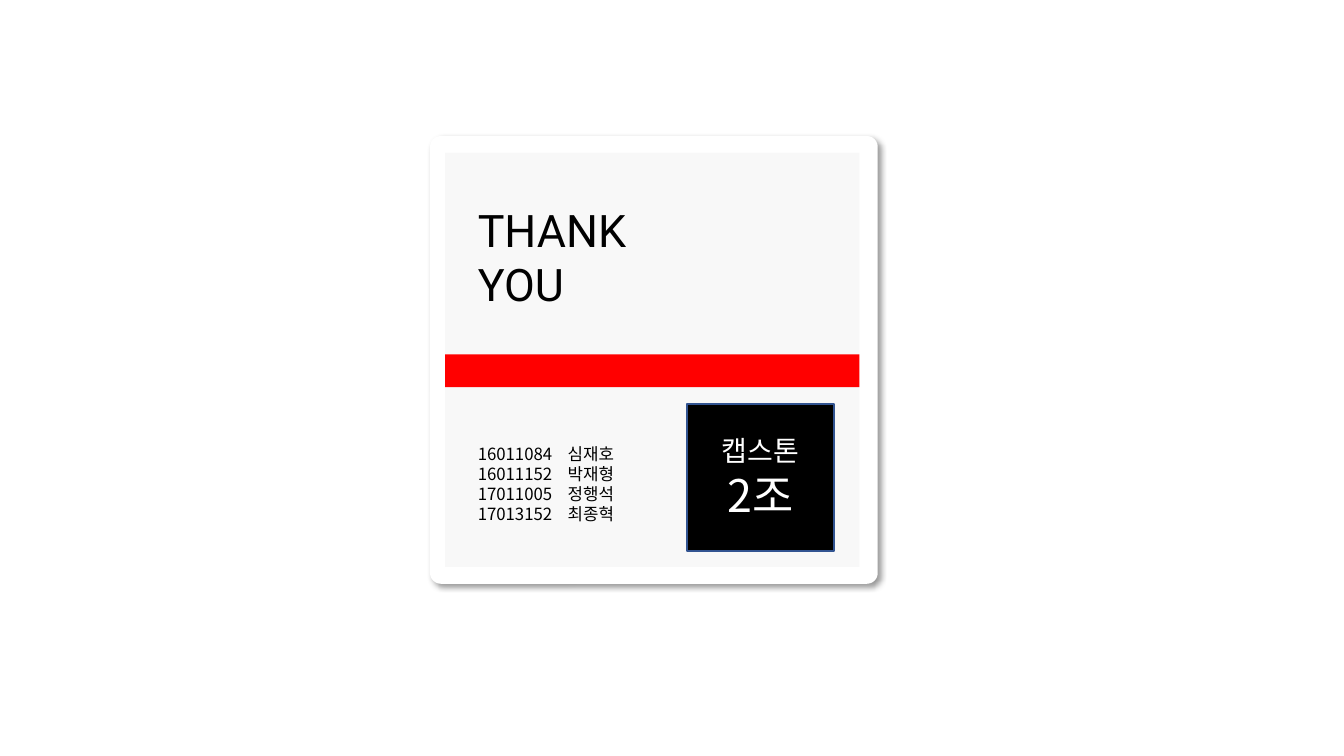
from dataclasses import dataclass

from lxml.etree import SubElement
from pptx import Presentation
from pptx.dml.color import RGBColor
from pptx.enum.shapes import MSO_AUTO_SHAPE_TYPE as Preset
from pptx.enum.text import MSO_ANCHOR as Anchor, MSO_AUTO_SIZE as AutoSize, PP_ALIGN as Align
from pptx.oxml import parse_xml
from pptx.oxml.ns import nsdecls, qn
from pptx.util import Emu, Pt

COLUMNS, ROWS = 160, 90
CELL = 76200  # a twelfth of an inch
COLORS = {"white": "FFFFFF", "panel": "F3F3F3", "red": "FF0000",
          "black": "000000", "navy": "325491"}
LATIN, KOREAN = "Roboto", "Noto Sans CJK KR"
NAME_TAB = 10.7  # columns from the text edge to the names


@dataclass(frozen=True)
class Area:
    column: float
    row: float
    width: float
    height: float

    def emu(self) -> list[Emu]:
        return [Emu(round(cells * CELL))
                for cells in (self.column, self.row, self.width, self.height)]


@dataclass(frozen=True)
class Block:
    area: Area
    color: str
    preset: Preset = Preset.RECTANGLE
    outline: str | None = None
    opacity: int = 100


@dataclass(frozen=True)
class Line:
    text: str
    size: int
    font: str = KOREAN
    color: str = "black"
    align: Align = Align.LEFT


CARD = Block(Area(51.2, 16.2, 53.3, 53.3), "white", Preset.ROUNDED_RECTANGLE)
PANEL = Block(Area(53, 18.2, 49.3, 49.3), "panel", opacity=58)
STRIPE = Block(Area(53, 42.2, 49.3, 3.9), "red")
BADGE = Block(Area(81.8, 48.1, 17.5, 17.5), "black", outline="navy")
THANKS_AREA = Area(55.7, 23.6, 32.4, 14.2)
MEMBERS_AREA = Area(55.7, 52.2, 22.8, 10.9)

THANKS = [Line(word, 32, LATIN) for word in ("THANK", "YOU")]
MEMBERS = [Line(f"{number}\t{name}", 12) for number, name in (
    ("16011084", "심재호"), ("16011152", "박재형"),
    ("17011005", "정행석"), ("17013152", "최종혁"))]
TEAM = [Line(text, size, color="white", align=Align.CENTER)
        for text, size in (("캡스톤", 20), ("2조", 32))]


def rgb(name: str) -> RGBColor:
    return RGBColor.from_string(COLORS[name])


def draw_block(page, block: Block):
    shape = page.shapes.add_shape(block.preset, *block.area.emu())
    shape.shadow.inherit = False
    shape.fill.solid()
    shape.fill.fore_color.rgb = rgb(block.color)
    if block.opacity < 100:
        color = shape.fill._xPr.find(f"{qn('a:solidFill')}/{qn('a:srgbClr')}")
        SubElement(color, qn("a:alpha"), val=str(block.opacity * 1000))
    if block.outline:
        shape.line.color.rgb = rgb(block.outline)
        shape.line.width = Pt(1)
    else:
        shape.line.fill.background()
    return shape


def add_shadow(shape) -> None:
    effects = shape._element.spPr.find(qn("a:effectLst"))
    effects.append(parse_xml(
        f'<a:outerShdw {nsdecls("a")} blurRad="{Pt(4)}" dist="{Pt(3)}" dir="2700000" '
        f'algn="tl" rotWithShape="0"><a:srgbClr val="{COLORS["black"]}">'
        '<a:alpha val="40000"/></a:srgbClr></a:outerShdw>'))


def write_lines(frame, lines: list[Line]) -> None:
    for index, line in enumerate(lines):
        para = frame.add_paragraph() if index else frame.paragraphs[0]
        para.text = line.text
        para.alignment = line.align
        font = para.font
        font.size = Pt(line.size)
        font.color.rgb = rgb(line.color)
        font.name = line.font
        SubElement(font._element, qn("a:ea"), typeface=line.font)
        if "\t" in line.text:
            tabs = parse_xml(f'<a:tabLst {nsdecls("a")}><a:tab '
                             f'pos="{round(NAME_TAB * CELL)}" algn="l"/></a:tabLst>')
            font._element.addprevious(tabs)


def add_text(page, area: Area, lines: list[Line]) -> None:
    frame = page.shapes.add_textbox(*area.emu()).text_frame
    frame.word_wrap = True
    frame.auto_size = AutoSize.SHAPE_TO_FIT_TEXT
    write_lines(frame, lines)


def main() -> None:
    deck = Presentation()
    deck.slide_width, deck.slide_height = Emu(COLUMNS * CELL), Emu(ROWS * CELL)
    page = deck.slides.add_slide(deck.slide_layouts[6])

    card = draw_block(page, CARD)
    card.adjustments[0] = 0.024
    add_shadow(card)
    draw_block(page, PANEL)
    add_text(page, THANKS_AREA, THANKS)
    draw_block(page, STRIPE)
    add_text(page, MEMBERS_AREA, MEMBERS)
    badge = draw_block(page, BADGE)
    badge.text_frame.vertical_anchor = Anchor.MIDDLE
    write_lines(badge.text_frame, TEAM)

    deck.save("out.pptx")


if __name__ == "__main__":
    main()
